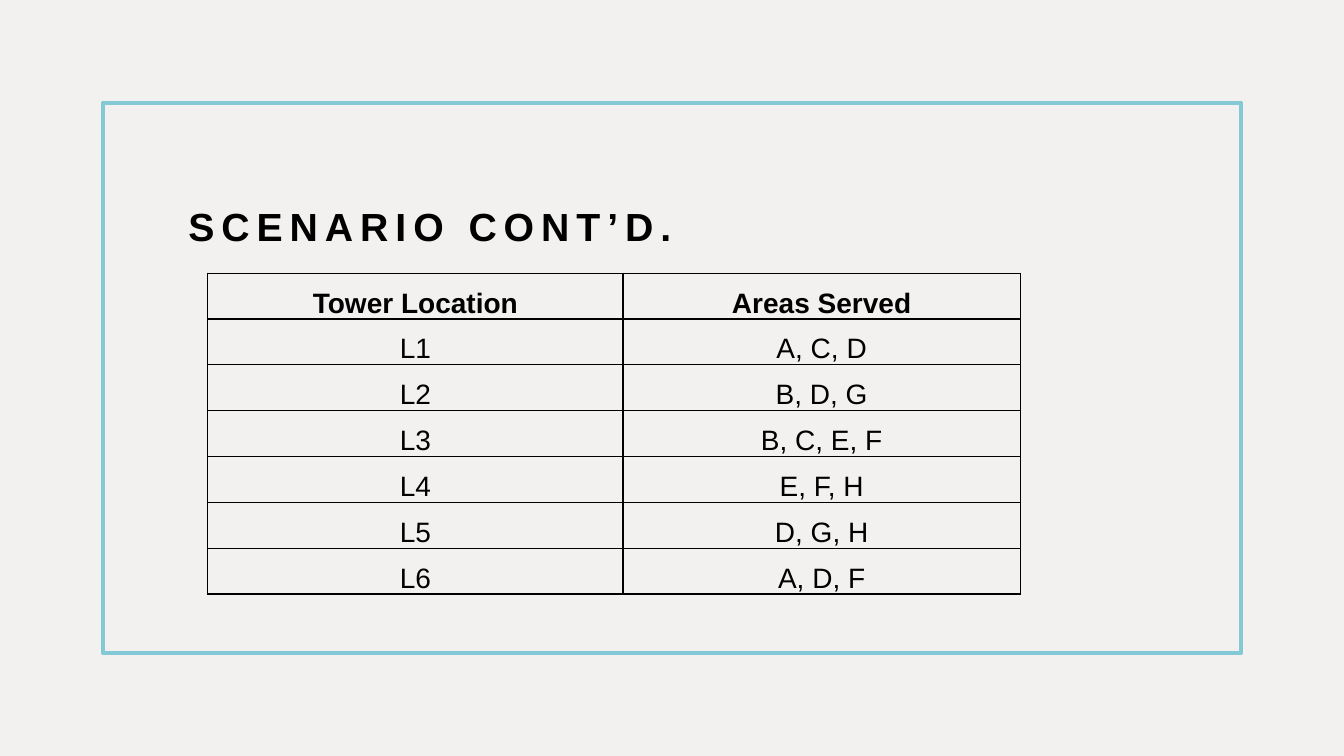
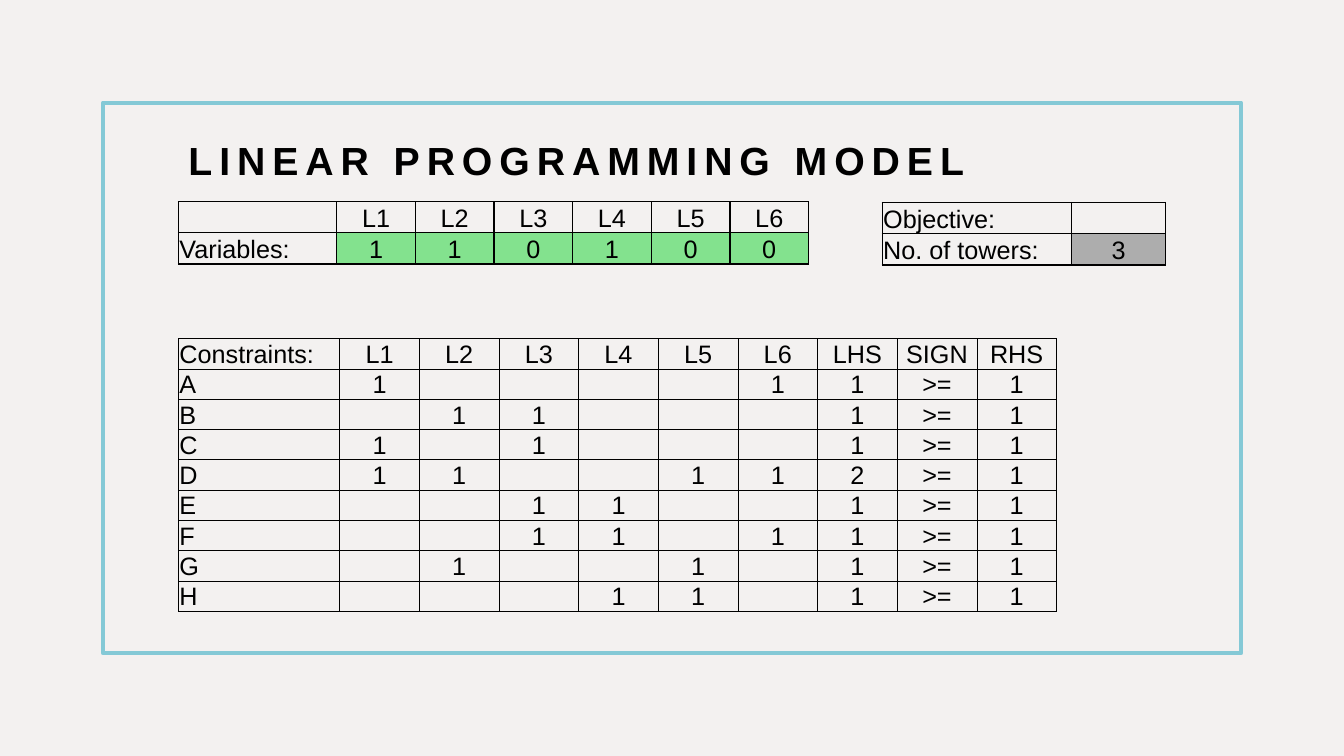
from dataclasses import dataclass, field

from lxml.etree import SubElement
from pptx import Presentation
from pptx.dml.color import RGBColor
from pptx.enum.shapes import MSO_SHAPE
from pptx.enum.text import MSO_ANCHOR, PP_ALIGN
from pptx.oxml.ns import qn
from pptx.util import Inches, Pt

COLORS = {
    "background": "F3F1F0",
    "frame": "84C9D6",
    "ink": "000000",
    "variable": "83E28E",
    "objective": "ADADAD",
}
FONT = "Arial"
SERVED = {"L1": "ACD", "L2": "BDG", "L3": "BCEF", "L4": "EFH", "L5": "DGH", "L6": "ADF"}
CHOSEN = {"L1": 1, "L2": 1, "L3": 0, "L4": 1, "L5": 0, "L6": 0}
AREAS = "ABCDEFGH"


@dataclass
class Grid:
    left: float
    top: float
    widths: list[float]
    row_height: float
    rows: list[list[str]]
    size: int = 18
    border: float = 1
    bold_header: bool = False
    center_first: bool = False
    fills: dict[tuple[int, int], str] = field(default_factory=dict)


def rgb(name: str) -> RGBColor:
    return RGBColor.from_string(COLORS[name])


def write(paragraph, text: str, *, size: int, bold: bool = False,
          align=PP_ALIGN.LEFT, tracking: float = 0, line_spacing: float | None = None) -> None:
    paragraph.alignment = align
    if line_spacing:
        paragraph.line_spacing = line_spacing
    run = paragraph.add_run()
    run.text = text
    run.font.name = FONT
    run.font.size = Pt(size)
    run.font.bold = bold
    run.font.color.rgb = rgb("ink")
    if tracking:
        run.font._element.set("spc", str(round(tracking * 100)))


def add_borders(cell, width: float) -> None:
    properties = cell._tc.get_or_add_tcPr()
    for side in ("lnL", "lnR", "lnT", "lnB"):
        line = SubElement(properties, qn(f"a:{side}"), w=str(Pt(width)))
        fill = SubElement(line, qn("a:solidFill"))
        SubElement(fill, qn("a:srgbClr"), val=COLORS["ink"])


def add_grid(slide, grid: Grid) -> None:
    table = slide.shapes.add_table(
        len(grid.rows), len(grid.widths), Inches(grid.left), Inches(grid.top),
        Inches(sum(grid.widths)), Inches(grid.row_height * len(grid.rows))).table
    table.first_row = False
    table.horz_banding = False
    for column, width in zip(table.columns, grid.widths):
        column.width = Inches(width)
    for r, row in enumerate(grid.rows):
        table.rows[r].height = Inches(grid.row_height)
        for c, text in enumerate(row):
            cell = table.cell(r, c)
            cell.margin_left = cell.margin_right = Inches(0.01)
            cell.margin_top = cell.margin_bottom = Inches(0)
            cell.vertical_anchor = MSO_ANCHOR.BOTTOM
            add_borders(cell, grid.border)
            if (r, c) in grid.fills:
                cell.fill.solid()
                cell.fill.fore_color.rgb = rgb(grid.fills[r, c])
            else:
                cell.fill.background()
            paragraph = cell.text_frame.paragraphs[0]
            if text:
                centered = c > 0 or grid.center_first
                write(paragraph, text, size=grid.size, bold=grid.bold_header and r == 0,
                      align=PP_ALIGN.CENTER if centered else PP_ALIGN.LEFT)
            else:
                SubElement(paragraph._p, qn("a:endParaRPr"), sz="1000")


def add_slide(deck, title: str, title_top: float, grids: list[Grid]) -> None:
    slide = deck.slides.add_slide(deck.slide_layouts[6])
    slide.background.fill.solid()
    slide.background.fill.fore_color.rgb = rgb("background")

    frame = slide.shapes.add_shape(
        MSO_SHAPE.RECTANGLE, Inches(1.02), Inches(1.02), Inches(11.29), Inches(5.46))
    frame.shadow.inherit = False
    frame.fill.background()
    frame.line.color.rgb = rgb("frame")
    frame.line.width = Pt(3)

    heading = slide.shapes.add_textbox(
        Inches(1.77), Inches(title_top), Inches(9.82), Inches(1.17)).text_frame
    heading.word_wrap = True
    heading.vertical_anchor = MSO_ANCHOR.BOTTOM
    write(heading.paragraphs[0], title, size=28, bold=True, tracking=5, line_spacing=1.2)

    for grid in grids:
        add_grid(slide, grid)


def constraint_row(area: str) -> list[str]:
    covered = {tower: area in areas for tower, areas in SERVED.items()}
    total = sum(CHOSEN[tower] for tower in SERVED if covered[tower])
    return [area, *("1" if hit else "" for hit in covered.values()), str(total), ">=", "1"]


def main() -> None:
    deck = Presentation()
    deck.slide_width = Inches(13.33)
    deck.slide_height = Inches(7.5)

    towers = list(SERVED)
    coverage = Grid(
        2.06, 2.71, [4.12, 3.94], 0.455,
        [["Tower Location", "Areas Served"],
         *([tower, ", ".join(areas)] for tower, areas in SERVED.items())],
        size=20, bold_header=True, center_first=True)
    variables = Grid(
        1.77, 2, [1.57] + [0.78] * len(towers), 0.31,
        [["", *towers], ["Variables:", *map(str, CHOSEN.values())]],
        fills={(1, c): "variable" for c in range(1, len(towers) + 1)})
    objective = Grid(
        8.75, 2.01, [1.88, 0.93], 0.31,
        [["Objective:", ""], ["No. of towers:", str(sum(CHOSEN.values()))]],
        fills={(1, 1): "objective"})
    constraints = Grid(
        1.77, 3.36, [1.6] + [0.79] * (len(towers) + 3), 0.29,
        [["Constraints:", *towers, "LHS", "SIGN", "RHS"], *map(constraint_row, AREAS)],
        border=0.5)

    add_slide(deck, "SCENARIO CONT’D.", 1.35, [coverage])
    add_slide(deck, "LINEAR PROGRAMMING MODEL", 0.7, [variables, objective, constraints])
    deck.save("out.pptx")


if __name__ == "__main__":
    main()
